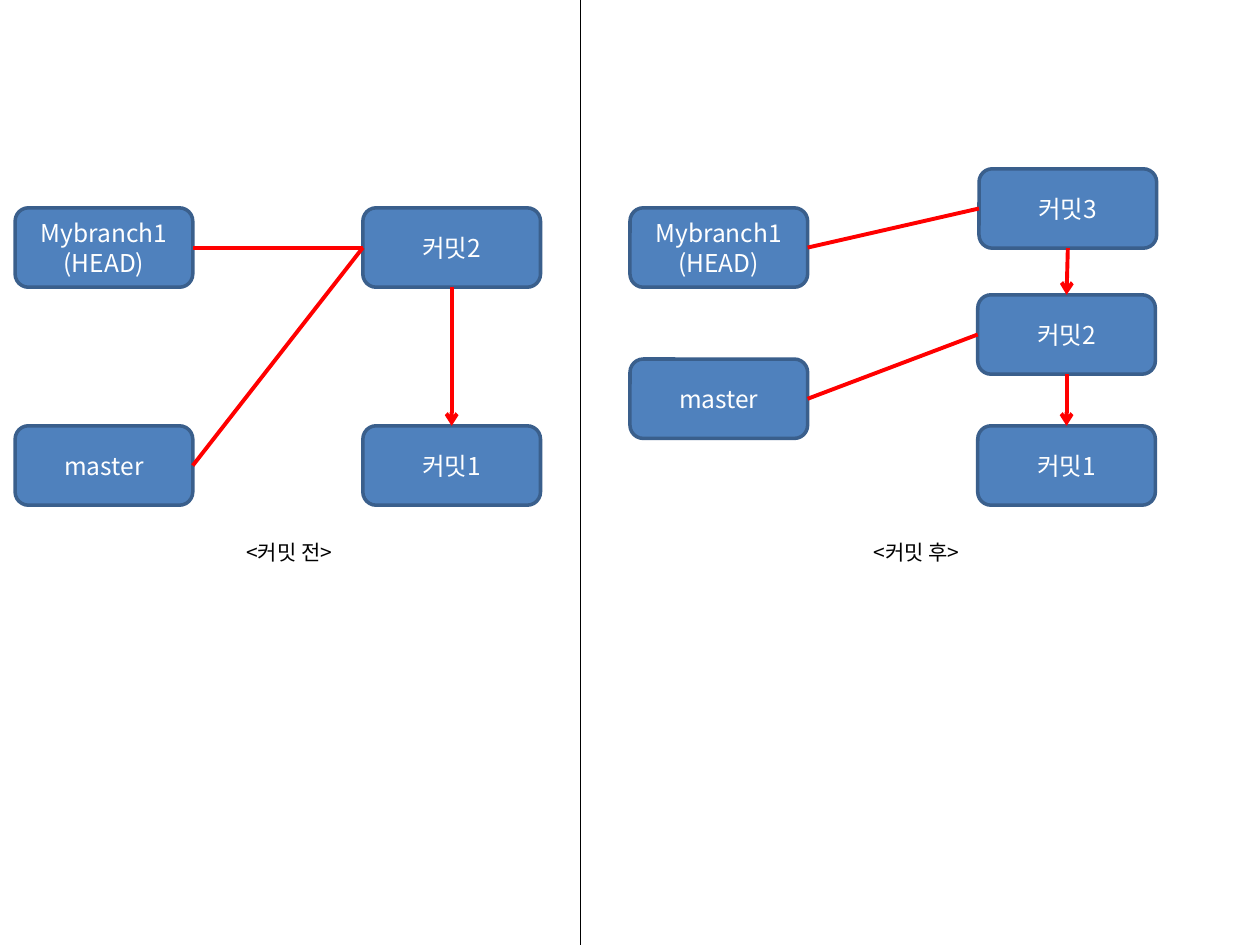
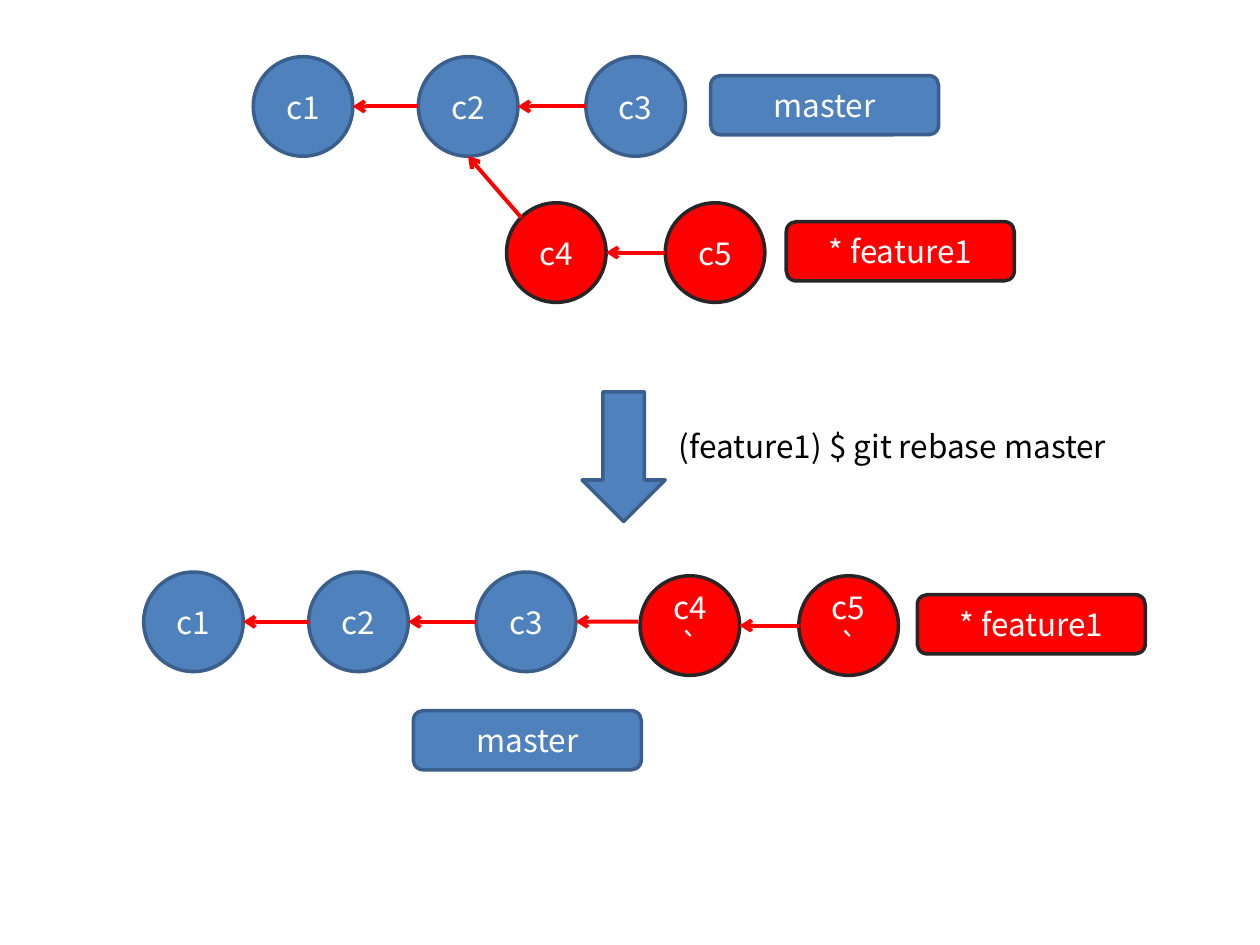
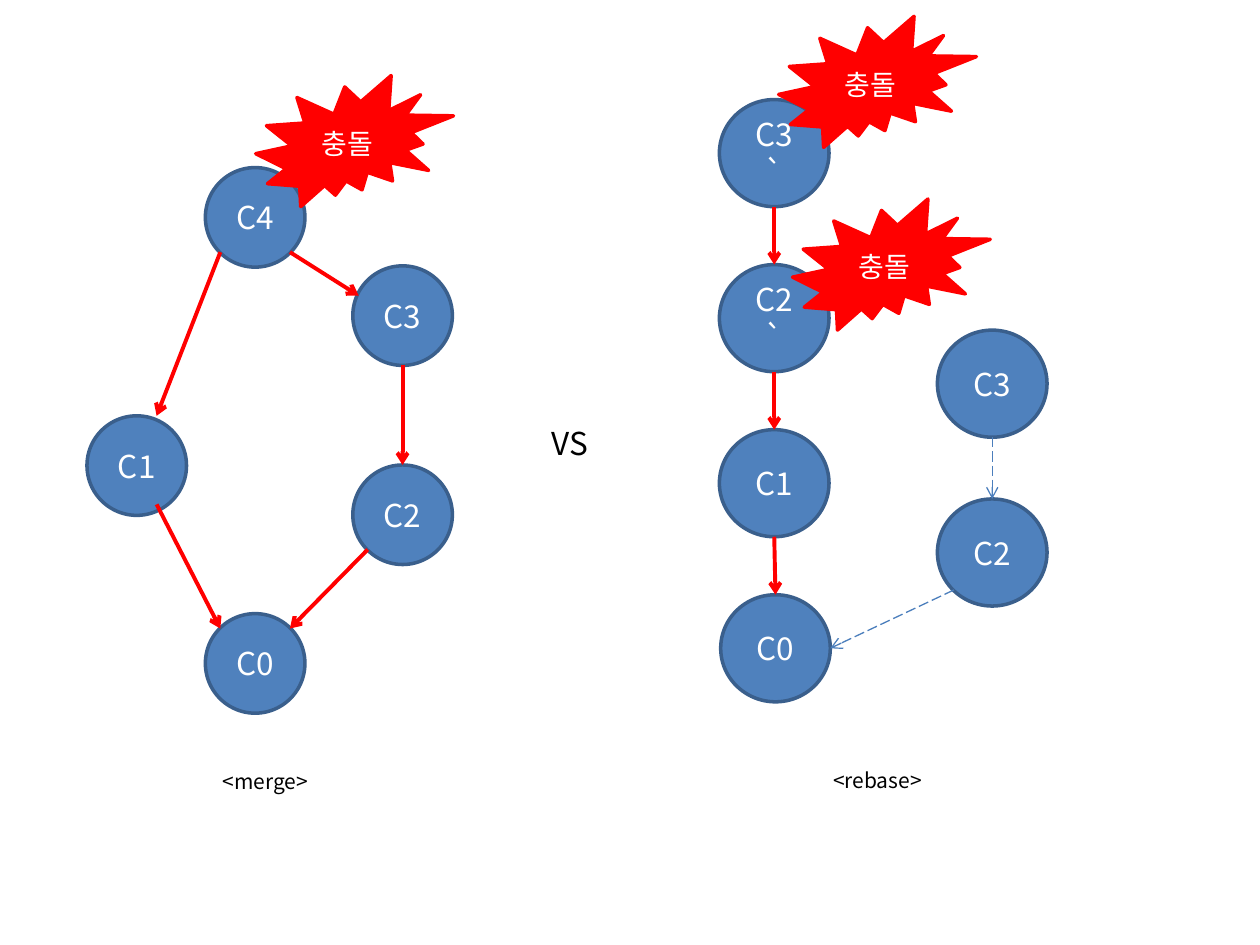
"""Three slides on Git commits, rebasing, and merge versus rebase."""
from pptx import Presentation
from pptx import util as u
from pptx.dml.color import RGBColor
from pptx.enum import dml, shapes, text
from pptx.oxml.ns import qn

Inches, Pt = u.Inches, u.Pt
KINDS = shapes.MSO_SHAPE

BLUE = RGBColor(0x4F, 0x81, 0xBD)
DARK_BLUE = RGBColor(0x3A, 0x5F, 0x8C)
LINE_BLUE = RGBColor(0x4B, 0x7E, 0xBC)
RED = RGBColor(0xFF, 0x00, 0x00)
CHARCOAL = RGBColor(0x26, 0x26, 0x26)
BLACK = RGBColor(0x00, 0x00, 0x00)
WHITE = RGBColor(0xFF, 0xFF, 0xFF)
FONT = "Noto Sans CJK KR"

# Fill and outline pairs
MAIN = (BLUE, DARK_BLUE)
FEATURE = (RED, CHARCOAL)
ALERT = (RED, RED)

# Points on a shape, as fractions of its width and height
LEFT, RIGHT, TOP, BOTTOM = (0, 0.5), (1, 0.5), (0.5, 0), (0.5, 1)
UPPER_LEFT, UPPER_RIGHT = (0.15, 0.15), (0.85, 0.15)
LOWER_LEFT, LOWER_RIGHT = (0.15, 0.85), (0.85, 0.85)


class Deck:
    """Holds the shared style and the slide being drawn."""

    def __init__(self):
        """Start an empty 10 by 7.5 inch presentation."""
        self.file = Presentation()
        self.file.slide_width, self.file.slide_height = Inches(10), Inches(7.5)

    def add_page(self):
        """Start a new blank slide."""
        self.page = self.file.slides.add_slide(self.file.slide_layouts[6])
        self.canvas = self.page.shapes

    def start_group(self):
        """Draw the following elements into a new group."""
        self.canvas = self.page.shapes.add_group_shape().shapes

    def end_group(self):
        """Draw directly on the slide again."""
        self.canvas = self.page.shapes

    def set_text(self, shape, words, size, color, align):
        """Put text, one paragraph a line, into a shape."""
        shape.text_frame.text = words
        for para in shape.text_frame.paragraphs:
            para.alignment = align
            para.font.size = Pt(size)
            para.font.name = FONT
            para.font.color.rgb = color
            for span in para.runs:
                props = span._r.get_or_add_rPr()
                east_asian = props.makeelement(qn("a:ea"), {"typeface": FONT})
                props.append(east_asian)

    def shape(self, kind, left, top, width, height, words="", size=18, style=MAIN):
        """Add a filled shape with centred white text."""
        box = self.canvas.add_shape(
            kind, Inches(left), Inches(top), Inches(width), Inches(height))
        box.shadow.inherit = False
        box.fill.solid()
        box.fill.fore_color.rgb, box.line.color.rgb = style
        box.line.width = Pt(2)
        if words:
            box.text_frame.vertical_anchor = text.MSO_ANCHOR.MIDDLE
            self.set_text(box, words, size, WHITE, text.PP_ALIGN.CENTER)
        return box

    def box(self, left, top, words):
        """Add a large rounded box for a branch or commit."""
        return self.shape(KINDS.ROUNDED_RECTANGLE, left, top, 1.41, 0.63, words, 14)

    def branch(self, left, top, words, style=MAIN):
        """Add a flat rounded branch label."""
        return self.shape(KINDS.ROUNDED_RECTANGLE, left, top, 1.81, 0.47, words,
                          style=style)

    def commit(self, left, top, words, style=MAIN, width=0.79, height=0.79):
        """Add a round commit node."""
        return self.shape(KINDS.OVAL, left, top, width, height, words, style=style)

    def wide_commit(self, left, top, words):
        """Add a commit node in the larger size."""
        return self.commit(left, top, words, width=0.87, height=0.85)

    def conflict(self, left, top):
        """Add a conflict burst."""
        return self.shape(KINDS.EXPLOSION2, left, top, 1.57, 1.04, "충돌", 16, ALERT)

    def label(self, left, top, width, height, words, size=12, centred=True):
        """Add black text: a centred caption, or one unwrapped line."""
        area = self.canvas.add_textbox(
            Inches(left), Inches(top), Inches(width), Inches(height))
        area.text_frame.word_wrap = centred
        area.text_frame.auto_size = text.MSO_AUTO_SIZE.SHAPE_TO_FIT_TEXT
        align = text.PP_ALIGN.CENTER if centred else text.PP_ALIGN.LEFT
        self.set_text(area, words, size, BLACK, align)

    def line(self, start, end, color=RED, weight=2.25, arrow=True, dashed=False):
        """Draw a straight line between two points."""
        link = self.canvas.add_connector(shapes.MSO_CONNECTOR.STRAIGHT, *start, *end)
        link.line.color.rgb = color
        link.line.width = Pt(weight)
        if dashed:
            link.line.dash_style = dml.MSO_LINE.LONG_DASH
        if arrow:
            stroke = link.line._get_or_add_ln()
            stroke.append(stroke.makeelement(qn("a:tailEnd"), {"type": "arrow"}))
        props = link._element.spPr
        props.append(props.makeelement(qn("a:effectLst"), {}))

    def link(self, source, source_spot, target, target_spot, **style):
        """Join a spot on one shape to a spot on another."""
        ends = [(round(item.left + item.width * across),
                 round(item.top + item.height * down))
                for item, (across, down) in ((source, source_spot),
                                             (target, target_spot))]
        self.line(*ends, **style)


def draw_commit_slide(deck):
    """Show the branches before and after a commit."""
    deck.add_page()
    branch_top, commit_top = 1.65, 3.38

    deck.start_group()
    master = deck.box(0.12, commit_top, "master")
    head = deck.box(0.12, branch_top, "Mybranch1\n(HEAD)")
    second = deck.box(2.88, branch_top, "커밋2")
    first = deck.box(2.88, commit_top, "커밋1")
    for branch in (head, master):
        deck.link(branch, RIGHT, second, LEFT, arrow=False)
    deck.link(second, BOTTOM, first, TOP)
    deck.end_group()
    deck.label(1.75, 4.23, 1.09, 0.3, "<커밋 전>")

    master = deck.box(5, 2.85, "master")
    head = deck.box(5, branch_top, "Mybranch1\n(HEAD)")
    second = deck.box(7.76, 2.34, "커밋2")
    first = deck.box(7.76, commit_top, "커밋1")
    third = deck.box(7.77, 1.34, "커밋3")
    deck.link(head, RIGHT, third, LEFT, arrow=False)
    deck.link(master, RIGHT, second, LEFT, arrow=False)
    deck.link(third, BOTTOM, second, TOP)
    deck.link(second, BOTTOM, first, TOP)
    deck.label(6.73, 4.23, 1.09, 0.3, "<커밋 후>")

    deck.line((Inches(4.61), 0), (Inches(4.61), Inches(7.5)),
              color=BLACK, weight=0.75, arrow=False)


def draw_main_commits(deck, left, top):
    """Draw the row c1 to c3 and return its nodes."""
    row = [deck.commit(left + shift, top, name)
           for shift, name in ((0, "c1"), (1.31, "c2"), (2.64, "c3"))]
    for older, newer in zip(row, row[1:]):
        deck.link(newer, LEFT, older, RIGHT)
    return row


def draw_feature_commits(deck, left, top, names):
    """Draw the two feature commits and return the older one."""
    older, newer = [deck.commit(left + 1.26 * i, top, name, FEATURE)
                    for i, name in enumerate(names)]
    deck.link(newer, LEFT, older, RIGHT)
    return older


def draw_rebase_slide(deck):
    """Show the history before and after a rebase."""
    deck.add_page()
    base = draw_main_commits(deck, 2.01, 0.45)[1]
    fork = draw_feature_commits(deck, 4.02, 1.61, ("c4", "c5"))
    deck.link(fork, UPPER_LEFT, base, BOTTOM)
    deck.branch(5.64, 0.6, "master")
    deck.branch(6.24, 1.76, "* feature1", FEATURE)

    deck.shape(KINDS.DOWN_ARROW, 4.62, 3.11, 0.66, 1.03)
    deck.label(5.29, 3.34, 3.61, 0.4, "(feature1) $ git rebase master", 18, False)

    tip = draw_main_commits(deck, 1.14, 4.54)[-1]
    moved = draw_feature_commits(deck, 5.08, 4.57, ("c4`", "c5`"))
    deck.link(moved, (-0.02, 0.46), tip, RIGHT)
    deck.branch(3.28, 5.64, "master")
    deck.branch(7.28, 4.72, "* feature1", FEATURE)


def draw_comparison_slide(deck):
    """Compare the conflicts of a merge with those of a rebase."""
    deck.add_page()
    merged = deck.commit(1.63, 1.33, "C4")
    second = deck.commit(2.8, 3.69, "C2")
    third = deck.commit(2.8, 2.11, "C3")
    first = deck.commit(0.69, 3.3, "C1")
    root = deck.commit(1.63, 4.87, "C0")
    deck.link(second, LOWER_LEFT, root, UPPER_RIGHT)
    deck.link(first, (0.7, 0.89), root, UPPER_LEFT)
    deck.link(merged, LOWER_LEFT, first, (0.7, 0))
    deck.link(merged, LOWER_RIGHT, third, (0.06, 0.3))
    deck.link(third, BOTTOM, second, TOP)
    deck.label(1.08, 6.05, 2.05, 0.3, "<merge>")
    deck.label(4.28, 3.32, 0.49, 0.4, "VS", 18, False)

    chain = [deck.wide_commit(left, 0.79 + 1.31 * i, name)
             for i, (left, name) in enumerate(
                 ((5.71, "C3`"), (5.71, "C2`"), (5.71, "C1"), (5.72, "C0")))]
    for newer, older in zip(chain, chain[1:]):
        deck.link(newer, BOTTOM, older, TOP)
    old_second = deck.wide_commit(7.44, 3.96, "C2")
    old_third = deck.wide_commit(7.44, 2.62, "C3")
    faded = dict(color=LINE_BLUE, weight=0.75, dashed=True)
    deck.link(old_second, LOWER_LEFT, chain[-1], RIGHT, **faded)
    deck.link(old_third, BOTTOM, old_second, TOP, **faded)
    deck.label(5.94, 6.04, 2.05, 0.3, "<rebase>")

    for left, top in ((2.03, 0.6), (6.18, 0.13), (6.29, 1.58)):
        deck.conflict(left, top)


def main():
    """Build and save the presentation."""
    deck = Deck()
    draw_commit_slide(deck)
    draw_rebase_slide(deck)
    draw_comparison_slide(deck)
    deck.file.save("out.pptx")


main()
